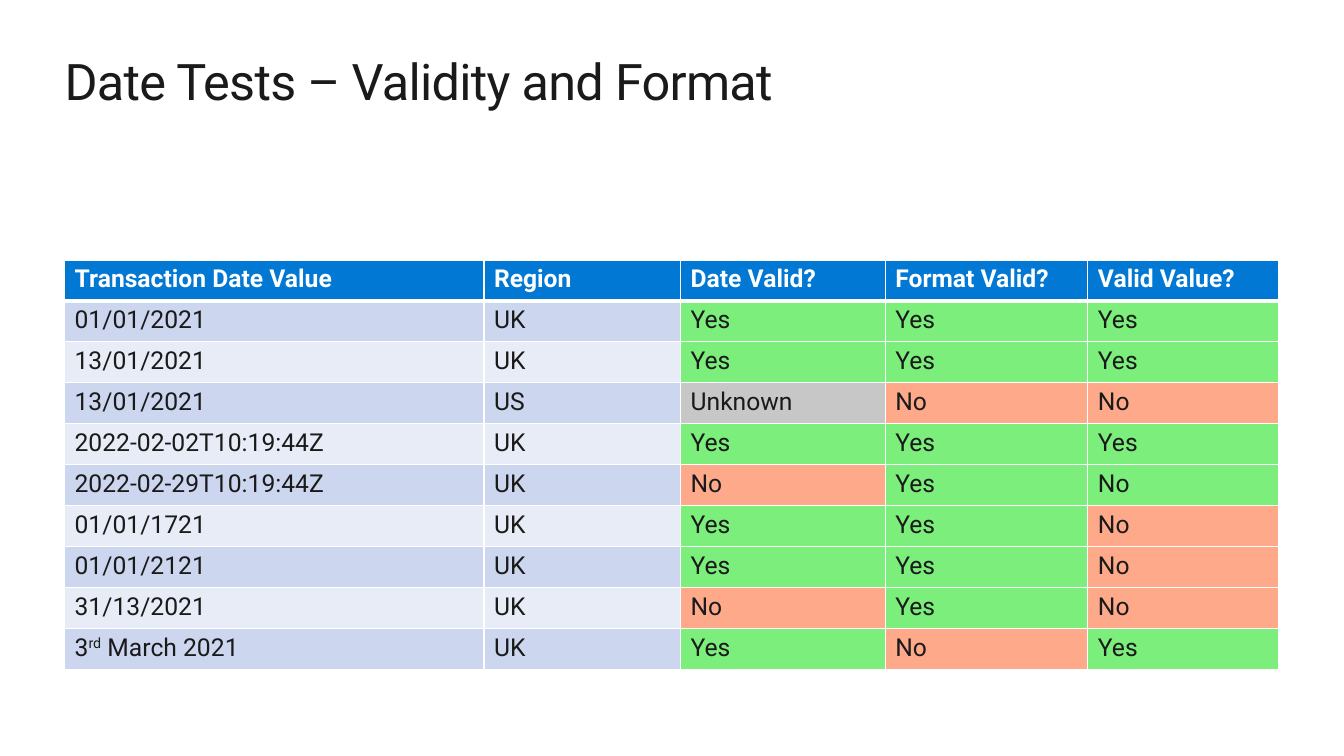
from dataclasses import dataclass
from typing import Any

from lxml import etree
from pptx import Presentation
from pptx.dml.color import RGBColor
from pptx.enum.text import MSO_ANCHOR, MSO_AUTO_SIZE
from pptx.oxml.ns import qn
from pptx.util import Inches, Pt

TOP = MSO_ANCHOR.TOP
NO_FIT = MSO_AUTO_SIZE.NONE


@dataclass(frozen=True)
class Theme:
    font: str = "Roboto"
    ink: str = "1A1A1A"
    white: str = "FFFFFF"
    head: str = "0078D4"
    bands: tuple[str, str] = ("CCD6EF", "E7ECF7")
    yes: str = "7CEE7C"
    no: str = "FEAA8A"
    maybe: str = "C7C7C7"
    title: float = 36
    body: float = 17.6
    thin: float = 1
    thick: float = 3


@dataclass(frozen=True)
class Span:
    text: str
    raised: bool = False


@dataclass(frozen=True)
class Test:
    date: tuple[Span, ...]
    region: str
    marks: tuple[str, str, str]
    fills: tuple[str, ...] = ()


THEME = Theme()
TINTS = {"Yes": THEME.yes, "No": THEME.no, "Unknown": THEME.maybe}
LEFT, WIDTH = Inches(0.64), Inches(12.05)
COLS = (4.16, 1.95, 2.03, 2.01, 1.89)
HEADS = ("Transaction Date Value", "Region", "Date Valid?", "Format Valid?", "Valid Value?")
TESTS = (
    Test((Span("01/01/2021"),), "UK", ("Yes", "Yes", "Yes")),
    Test((Span("13/01/2021"),), "UK", ("Yes", "Yes", "Yes")),
    Test((Span("13/01/2021"),), "US", ("Unknown", "No", "No")),
    Test((Span("2022-02-02T10:19:44Z"),), "UK", ("Yes", "Yes", "Yes")),
    Test((Span("2022-02-29T10:19:44Z"),), "UK", ("No", "Yes", "No"),
         (THEME.no, THEME.yes, THEME.yes)),
    Test((Span("01/01/1721"),), "UK", ("Yes", "Yes", "No")),
    Test((Span("01/01/2121"),), "UK", ("Yes", "Yes", "No")),
    Test((Span("31/13/2021"),), "UK", ("No", "Yes", "No")),
    Test((Span("3"), Span("rd", True), Span(" March 2021")), "UK", ("Yes", "No", "Yes")),
)


def apply(item: Any, values: dict[str, Any]) -> None:
    for name, value in values.items():
        setattr(item, name, value)


def write(frame: Any, spans: tuple[Span, ...], size: float, color: str,
          bold: bool = False, track: int = 0) -> None:
    for span in spans:
        run = frame.paragraphs[0].add_run()
        run.text = span.text
        apply(run.font, {"name": THEME.font, "size": Pt(size), "bold": bold})
        run.font.color.rgb = RGBColor.from_string(color)
        props = run._r.get_or_add_rPr()
        if span.raised:
            props.set("baseline", "30000")
        if track:
            props.set("spc", str(track))


def edge(cell: Any, top: float, base: float) -> None:
    props = cell._tc.get_or_add_tcPr()
    sides = {"L": THEME.thin, "R": THEME.thin, "T": top, "B": base}
    for side, width in sides.items():
        line = etree.SubElement(props, qn(f"a:ln{side}"), w=str(Pt(width)))
        fill = etree.SubElement(line, qn("a:solidFill"))
        etree.SubElement(fill, qn("a:srgbClr"), val=THEME.white)


def paint(cell: Any, spans: tuple[Span, ...], fill: str, row: int) -> None:
    head = row == 0
    edge(cell, THEME.thick if row == 1 else THEME.thin, THEME.thick if head else THEME.thin)
    cell.fill.solid()
    cell.fill.fore_color.rgb = RGBColor.from_string(fill)
    cell.vertical_anchor = TOP
    write(cell.text_frame, spans, THEME.body, THEME.white if head else THEME.ink, head)


def add_title(slide: Any, text: str) -> None:
    frame = slide.shapes.add_textbox(LEFT, Inches(0.5), WIDTH, Inches(0.61)).text_frame
    apply(frame, {"margin_left": 0, "margin_right": 0, "margin_top": 0, "margin_bottom": 0,
                  "word_wrap": True, "auto_size": NO_FIT, "vertical_anchor": TOP})
    write(frame, (Span(text),), THEME.title, THEME.ink, track=-50)


def add_tests(slide: Any) -> None:
    count = len(TESTS) + 1
    table = slide.shapes.add_table(count, len(COLS), LEFT, Inches(2.58),
                                   WIDTH, Inches(4.06)).table
    table.horz_banding = False
    for col, width in zip(table.columns, COLS):
        col.width = Inches(width)
    for col, text in enumerate(HEADS):
        paint(table.cell(0, col), (Span(text),), THEME.head, 0)
    for row, test in enumerate(TESTS, 1):
        band = THEME.bands[(row - 1) % 2]
        texts = (test.date, (Span(test.region),), *((Span(mark),) for mark in test.marks))
        tints = test.fills or tuple(TINTS[mark] for mark in test.marks)
        for col, (spans, fill) in enumerate(zip(texts, (band, band, *tints))):
            paint(table.cell(row, col), spans, fill, row)


deck = Presentation()
apply(deck, {"slide_width": Inches(13.33), "slide_height": Inches(7.5)})
page = deck.slides.add_slide(deck.slide_layouts[6])
add_title(page, "Date Tests – Validity and Format")
add_tests(page)
deck.save("out.pptx")
